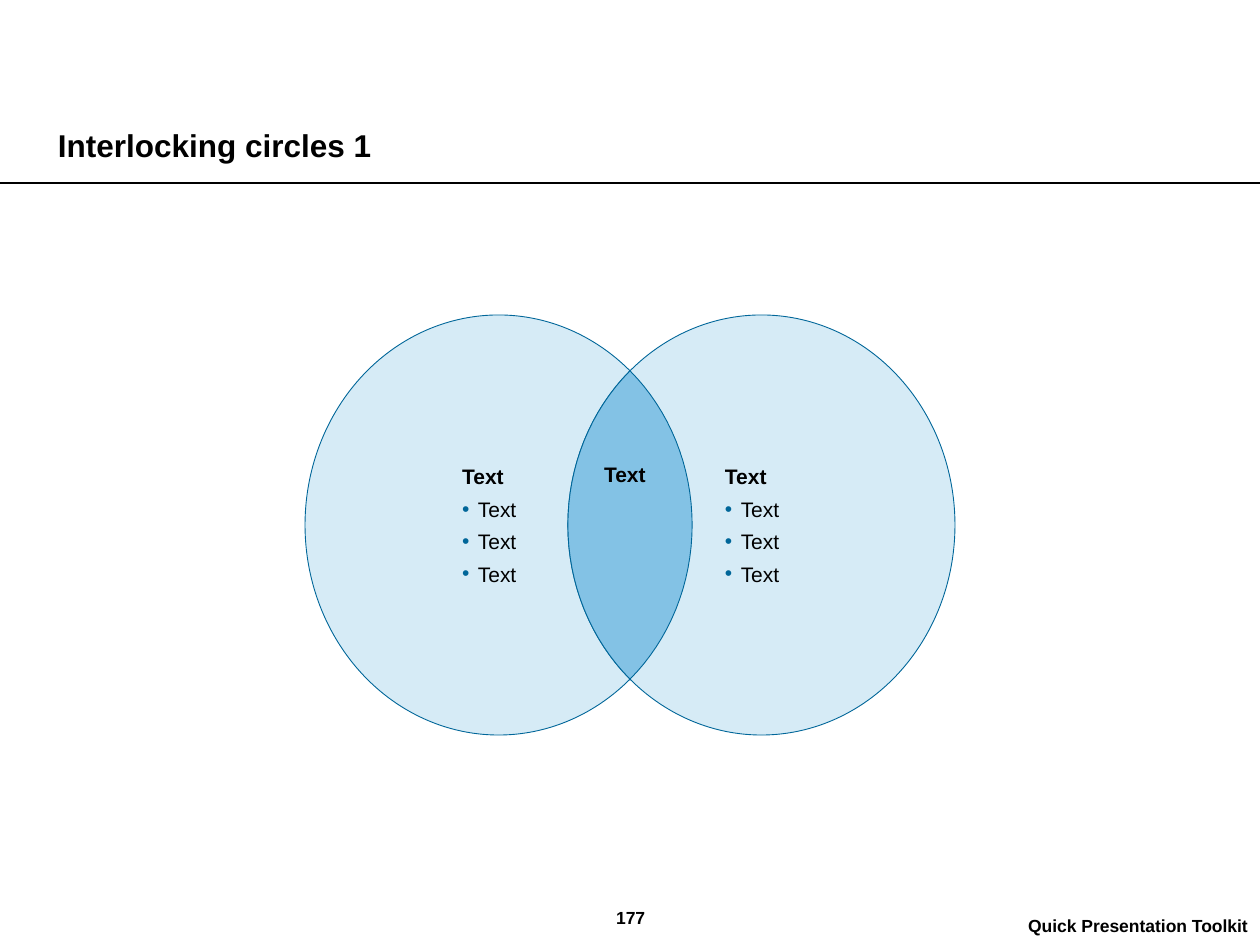
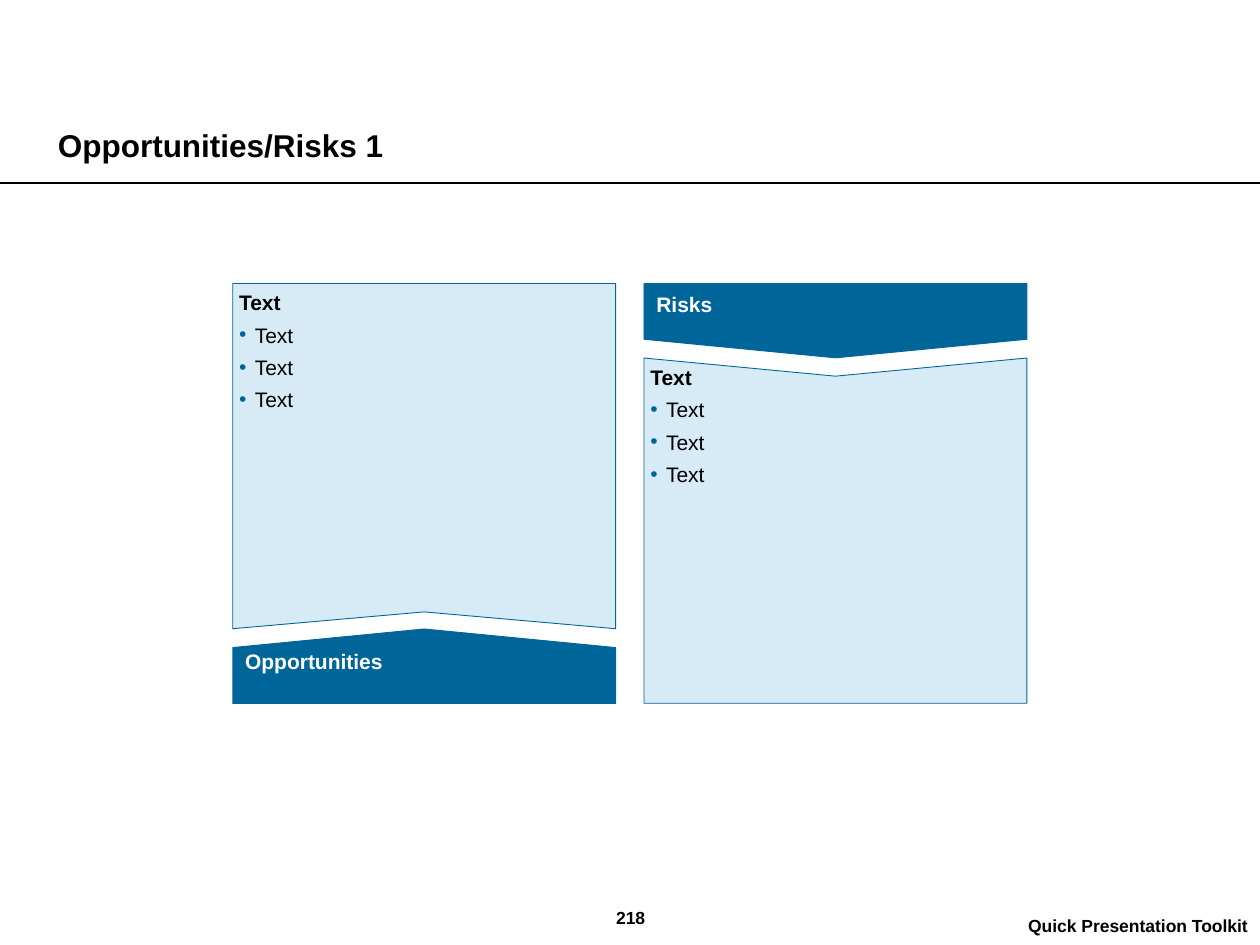
from math import acos, cos, pi, sin
from typing import NamedTuple

from lxml.etree import SubElement
from pptx import Presentation
from pptx.dml.color import RGBColor
from pptx.enum.shapes import MSO_CONNECTOR, MSO_SHAPE
from pptx.enum.text import MSO_ANCHOR, PP_ALIGN
from pptx.oxml.ns import qn
from pptx.util import Pt

COLORS = {"ink": "000000", "paper": "FFFFFF", "accent": "006699",
          "pale": "D6EBF6", "overlap": "83C2E5"}
FONT = "Arial"
BODY_SIZE = 12
INSET = 3.6
INDENT = 9
ITEMS = ["Text"] * 3


class Box(NamedTuple):
    left: float
    top: float
    width: float
    height: float

    def lengths(self):
        return [Pt(value) for value in self]


def rgb(name):
    return RGBColor.from_string(COLORS[name])


def paint(shape, fill, line="accent"):
    shape.shadow.inherit = False
    shape.fill.solid()
    shape.fill.fore_color.rgb = rgb(fill)
    shape.line.color.rgb = rgb(line)
    shape.line.width = Pt(0.5)


def set_frame(frame, anchor, margins):
    """Margins are left, top, right, bottom."""
    frame.word_wrap = True
    frame.vertical_anchor = anchor
    (frame.margin_left, frame.margin_top,
     frame.margin_right, frame.margin_bottom) = [Pt(m) for m in margins]


def write(paragraph, text, size=BODY_SIZE, bold=True, color="ink",
          align=PP_ALIGN.LEFT):
    paragraph.alignment = align
    run = paragraph.add_run()
    run.text = text
    run.font.name = FONT
    run.font.size = Pt(size)
    run.font.bold = bold
    run.font.color.rgb = rgb(color)


def add_label(slide, box, text, anchor=MSO_ANCHOR.TOP, margins=(0, 0, 0, 0),
              **style):
    frame = slide.shapes.add_textbox(*box.lengths()).text_frame
    set_frame(frame, anchor, margins)
    write(frame.paragraphs[0], text, **style)


def add_bullet(paragraph):
    properties = paragraph._p.get_or_add_pPr()
    properties.set("marL", str(Pt(INDENT)))
    properties.set("indent", str(-Pt(INDENT)))
    color = SubElement(properties, qn("a:buClr"))
    SubElement(color, qn("a:srgbClr")).set("val", COLORS["accent"])
    SubElement(properties, qn("a:buFont")).set("typeface", FONT)
    SubElement(properties, qn("a:buChar")).set("char", "•")


def write_list(frame, heading, items):
    write(frame.paragraphs[0], heading)
    for item in items:
        paragraph = frame.add_paragraph()
        add_bullet(paragraph)
        paragraph.space_before = Pt(4.15)
        write(paragraph, item, bold=False)


def add_outline(slide, points, fill):
    corners = [(Pt(x), Pt(y)) for x, y in points]
    builder = slide.shapes.build_freeform(*corners[0], scale=1.0)
    builder.add_line_segments(corners[1:], close=True)
    outline = builder.convert_to_shape()
    paint(outline, fill)
    return outline


# Shared page parts
def add_title_rule(slide):
    """Draw the rule under the title and hand it to the slide's layout."""
    rule = slide.shapes.add_connector(MSO_CONNECTOR.STRAIGHT,
                                      Pt(0), Pt(104.4), Pt(720), Pt(104.4))
    rule.line.color.rgb = rgb("ink")
    rule.line.width = Pt(1)
    SubElement(rule.element.spPr, qn("a:effectLst"))
    slide.slide_layout.shapes.element.append(rule.element)


def add_page(presentation, title, number):
    slide = presentation.slides.add_slide(presentation.slide_layouts[5])
    heading = slide.shapes.title
    heading.left, heading.top, heading.width, heading.height = Box(
        33.1, 48.2, 653.8, 45.4).lengths()
    set_frame(heading.text_frame, MSO_ANCHOR.BOTTOM, (0, 0, 0, 0))
    write(heading.text_frame.paragraphs[0], title, size=18)
    # Footer
    add_label(slide, Box(442.8, 502.6, 277.2, 36), "Quick Presentation Toolkit",
              MSO_ANCHOR.BOTTOM, (7.2, 3.6, 7.2, 3.6), size=10,
              align=PP_ALIGN.RIGHT)
    add_label(slide, Box(277.2, 502.6, 166.3, 37.4), number,
              MSO_ANCHOR.BOTTOM, (7.2, 3.6, 7.2, 9.7), size=10,
              align=PP_ALIGN.CENTER)
    return slide


# Interlocking circles
def lens_points(box, circle_width, steps=32):
    """Trace the overlap of the two ellipses that fill the box's ends."""
    rx, ry = circle_width / 2, box.height / 2
    middle_x, middle_y = box.left + box.width / 2, box.top + ry
    offset = box.width / 2 - rx
    limit = acos(offset / rx)
    angles = [-limit + 2 * limit * step / steps for step in range(steps)]
    right_edge = [(middle_x - offset + rx * cos(a), middle_y + ry * sin(a))
                  for a in angles]
    left_edge = [(middle_x + offset + rx * cos(a + pi),
                  middle_y + ry * sin(a + pi)) for a in angles]
    return right_edge + left_edge


def add_circles(slide, box, circle_width):
    for left in (box.left, box.left + box.width - circle_width):
        circle = slide.shapes.add_shape(
            MSO_SHAPE.OVAL,
            *Box(left, box.top, circle_width, box.height).lengths())
        paint(circle, "pale")
        set_frame(circle.text_frame, MSO_ANCHOR.MIDDLE,
                  (57.4, INSET, INSET, INSET))
        write_list(circle.text_frame, "Text", ITEMS)
    add_outline(slide, lens_points(box, circle_width), "overlap")
    add_label(slide, Box(box.left + 159.8, box.top + 83.5, 46, 14.4), "Text",
              MSO_ANCHOR.MIDDLE, align=PP_ALIGN.CENTER)


# Opportunities and risks
def add_panel(slide, box, notch_top):
    """Add a list panel with a notch in its top or bottom edge."""
    left, top, width, height = box
    right, bottom, middle = left + width, top + height, left + width / 2
    if notch_top:
        points = [(left, top), (middle, top + 10.4), (right, top),
                  (right, bottom), (left, bottom)]
    else:
        points = [(left, top), (right, top), (right, bottom),
                  (middle, bottom - 9.6), (left, bottom)]
    panel = add_outline(slide, points, "pale")
    set_frame(panel.text_frame, MSO_ANCHOR.TOP, (INSET,) * 4)
    write_list(panel.text_frame, "Text", ITEMS)


def add_banner(slide, box, text, rotation, text_top):
    """Turn a pentagon so that it fills the box, pointing up or down."""
    left, top, width, height = box
    upright = Box(left + (width - height) / 2, top + (height - width) / 2,
                  height, width)
    banner = slide.shapes.add_shape(MSO_SHAPE.PENTAGON, *upright.lengths())
    banner.adjustments[0] = 0.25
    banner.rotation = rotation
    paint(banner, "accent")
    add_label(slide, Box(left, top + text_top, width, 18), text,
              margins=(7.2, 0, 7.2, 0), color="paper")


def add_opportunities_and_risks(slide, box):
    banner_height, panel_height, panel_width = 42.5, 197.3, 218.8
    risks_left = box.left + box.width - panel_width
    add_panel(slide, Box(risks_left, box.top + box.height - panel_height,
                         panel_width, panel_height), notch_top=True)
    add_panel(slide, Box(box.left, box.top, panel_width, panel_height),
              notch_top=False)
    add_banner(slide, Box(box.left, box.top + box.height - banner_height,
                          panel_width, banner_height),
               "Opportunities", 270, text_top=11.3)
    add_banner(slide, Box(risks_left, box.top, panel_width, banner_height),
               "Risks", 90, text_top=4.3)


def main():
    presentation = Presentation()
    presentation.slide_width, presentation.slide_height = Pt(720), Pt(540)
    background = presentation.slide_master.background.fill
    background.solid()
    background.fore_color.rgb = rgb("paper")

    circles = add_page(presentation, "Interlocking circles 1", "177")
    add_title_rule(circles)
    add_circles(circles, Box(174.3, 180, 371.4, 240), circle_width=221.2)

    balance = add_page(presentation, "Opportunities/Risks 1", "218")
    add_opportunities_and_risks(balance, Box(133, 162, 453.8, 239.9))

    presentation.save("out.pptx")


if __name__ == "__main__":
    main()
